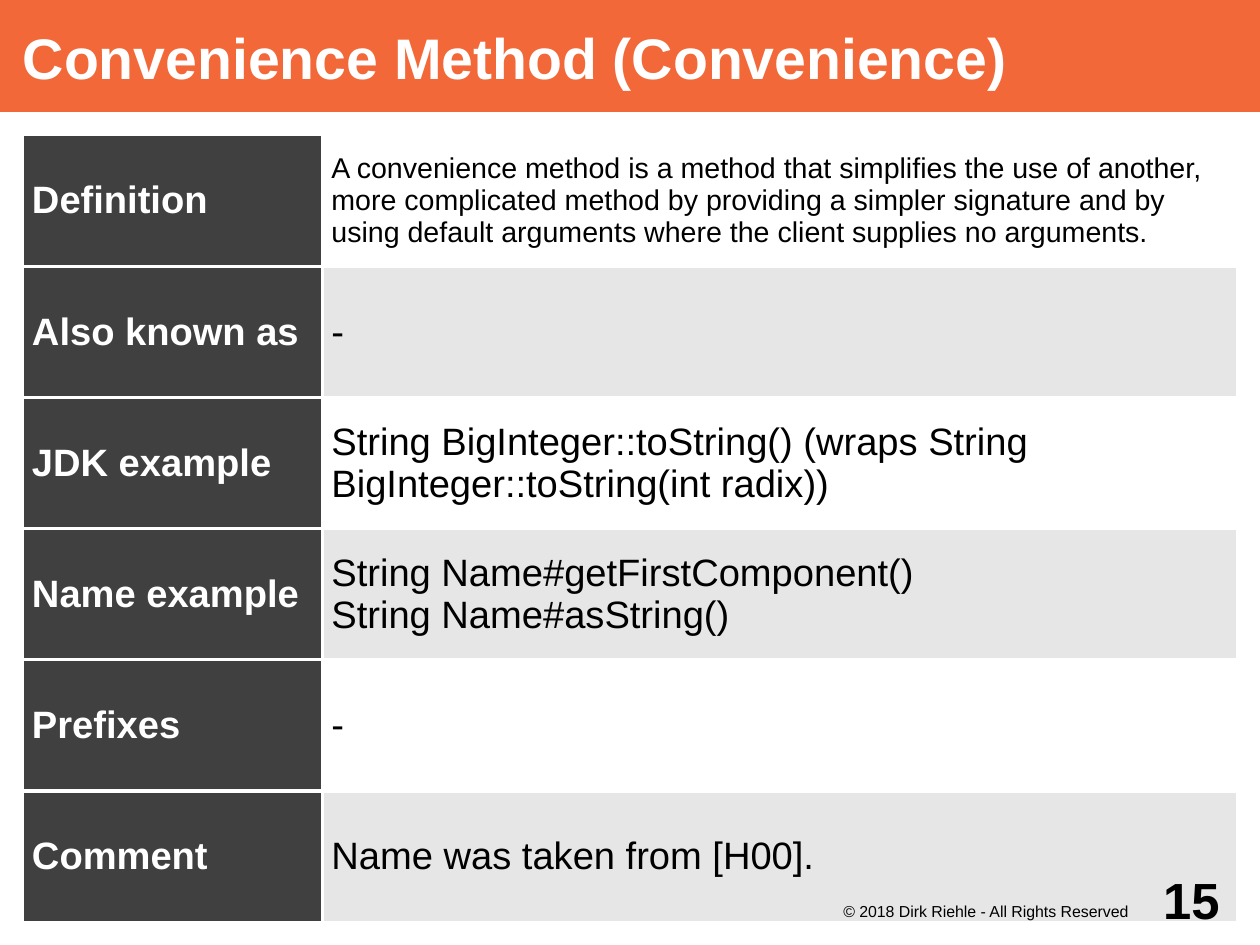
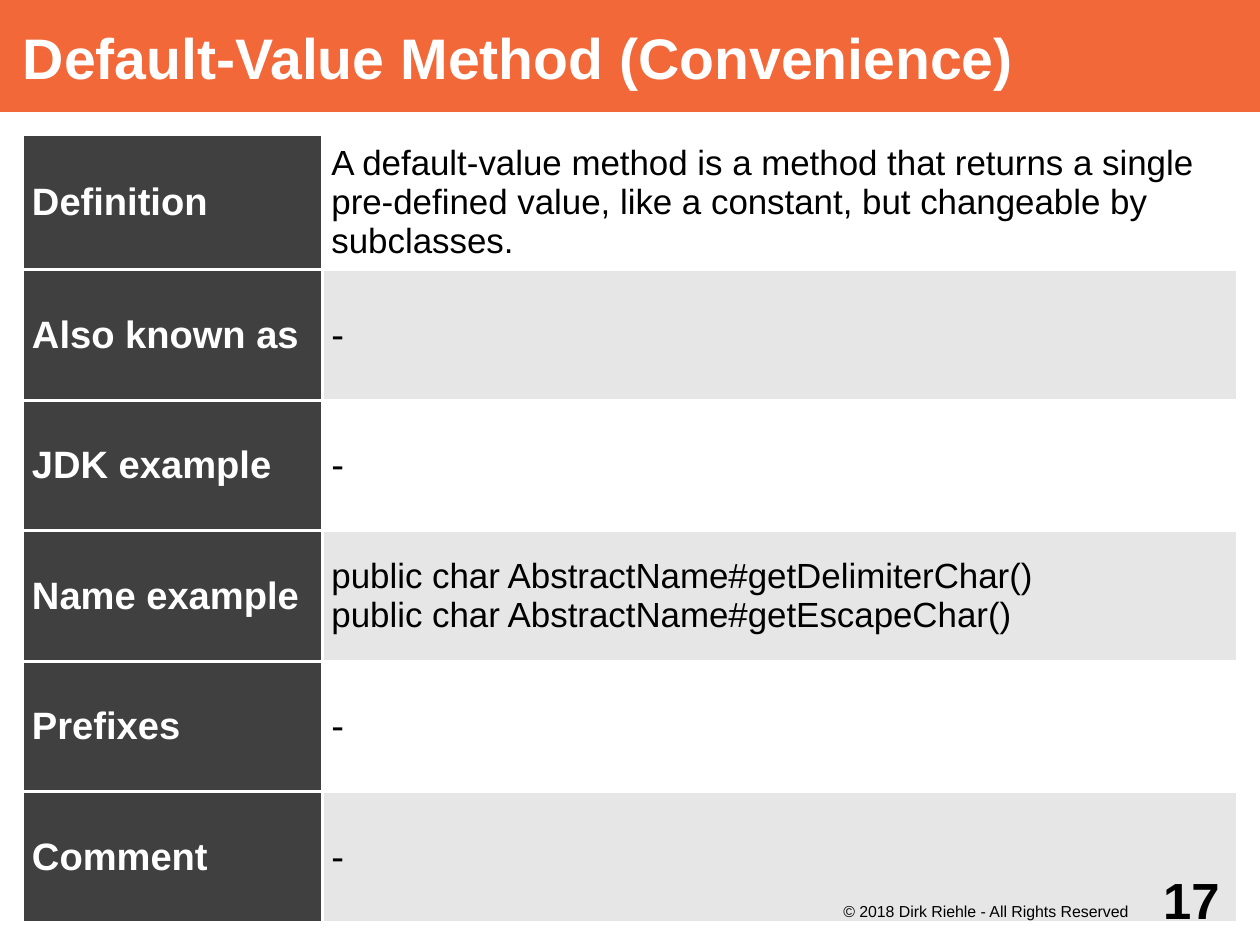
from lxml.etree import SubElement
from pptx import Presentation
from pptx.dml.color import RGBColor
from pptx.enum.shapes import MSO_SHAPE
from pptx.enum.text import MSO_ANCHOR, PP_ALIGN
from pptx.oxml.ns import qn
from pptx.util import Inches, Pt

# A 28 by 21 cm page, in inches
WIDTH, HEIGHT = 28 / 2.54, 21 / 2.54
LABELS = ["Definition", "Also known as", "JDK example",
          "Name example", "Prefixes", "Comment"]


def rgb(value):
    return RGBColor.from_string(value)


def write(tf, text, size=24, color="000000", bold=False, align=PP_ALIGN.LEFT,
          font="Arial"):
    """Fill a text frame, one paragraph per line of text."""
    tf.word_wrap = True
    for i, line in enumerate(text.split("\n")):
        p = tf.add_paragraph() if i else tf.paragraphs[0]
        p.alignment = align
        r = p.add_run()
        r.text = line
        r.font.name, r.font.size, r.font.bold = font, Pt(size), bold
        r.font.color.rgb = rgb(color)


class Deck:
    ORANGE, DARK, LIGHT, WHITE = "F36838", "404040", "E6E6E6", "FFFFFF"
    FOOTER = "© 2018 Dirk Riehle - All Rights Reserved"
    MARGIN, TABLE_TOP, TABLE_HEIGHT = 0.2, 1.18, 6.89
    COLUMNS = (2.62, 8.01)
    BORDER = 2.27

    def __init__(self):
        self.prs = Presentation()
        self.prs.slide_width = Inches(WIDTH)
        self.prs.slide_height = Inches(HEIGHT)
        self.s = None

    def frame(self, sp, insets, anchor):
        tf = sp.text_frame
        (tf.margin_left, tf.margin_top,
         tf.margin_right, tf.margin_bottom) = map(Inches, insets)
        tf.vertical_anchor = anchor
        return tf

    def title(self, text):
        sp = self.s.shapes.add_shape(MSO_SHAPE.RECTANGLE, 0, 0,
                                     Inches(WIDTH), Inches(0.98))
        sp.shadow.inherit = False
        sp.fill.solid()
        sp.fill.fore_color.rgb = rgb(self.ORANGE)
        sp.line.fill.background()
        tf = self.frame(sp, (self.MARGIN, 0.01, 0, 0), MSO_ANCHOR.MIDDLE)
        write(tf, text, size=36, color=self.WHITE, bold=True)

    def text(self, box, text, insets, anchor=MSO_ANCHOR.TOP, **style):
        sp = self.s.shapes.add_textbox(*map(Inches, box))
        write(self.frame(sp, insets, anchor), text, **style)

    def footer(self, number):
        self.text((7.09, 7.87, 3.15, 0.39), self.FOOTER, (0, 0.02, 0.37, 0),
                  size=10, align=PP_ALIGN.RIGHT)
        self.text((10.04, 7.48, 0.98, 0.79), str(number),
                  (0, 0, 0.35, 0.02), MSO_ANCHOR.MIDDLE,
                  size=32, bold=True, align=PP_ALIGN.RIGHT)

    def cell(self, cell, text, fill, **style):
        cell.margin_left = cell.margin_right = Inches(0.08)
        cell.margin_top = cell.margin_bottom = Inches(0.04)
        cell.vertical_anchor = MSO_ANCHOR.MIDDLE
        # Borders come before the fill in the cell properties
        tcPr = cell._tc.get_or_add_tcPr()
        for side in ("lnL", "lnR", "lnT", "lnB"):
            ln = SubElement(tcPr, qn(f"a:{side}"), w=str(int(Pt(self.BORDER))))
            solid = SubElement(ln, qn("a:solidFill"))
            SubElement(solid, qn("a:srgbClr"), val=self.WHITE)
        cell.fill.solid()
        cell.fill.fore_color.rgb = rgb(fill)
        write(cell.text_frame, text, **style)

    def table(self, entries, first_height, sizes):
        """Label and entry per row; sizes maps a label to a smaller text size."""
        table = self.s.shapes.add_table(
            len(LABELS), 2, Inches(self.MARGIN), Inches(self.TABLE_TOP),
            Inches(sum(self.COLUMNS)), Inches(self.TABLE_HEIGHT)).table
        table.first_row = table.horz_banding = False
        for column, width in zip(table.columns, self.COLUMNS):
            column.width = Inches(width)
        other_height = (self.TABLE_HEIGHT - first_height) / (len(LABELS) - 1)
        for i, (label, entry) in enumerate(zip(LABELS, entries)):
            table.rows[i].height = Inches(other_height if i else first_height)
            self.cell(table.cell(i, 0), label, self.DARK,
                      color=self.WHITE, bold=True)
            self.cell(table.cell(i, 1), entry,
                      self.LIGHT if i % 2 else self.WHITE,
                      size=sizes.get(label, 24))

    def pattern(self, title, number, entries, first_height, sizes):
        self.s = self.prs.slides.add_slide(self.prs.slide_layouts[6])
        self.title(title)
        self.table(entries, first_height, sizes)
        self.footer(number)


def main():
    deck = Deck()

    # Convenience method
    deck.pattern("Convenience Method (Convenience)", 15, [
        "A convenience method is a method that simplifies the use of another, "
        "more complicated method by providing a simpler signature and by using "
        "default arguments where the client supplies no arguments.",
        "-",
        "String BigInteger::toString() (wraps String "
        "BigInteger::toString(int radix))",
        "String Name#getFirstComponent()\nString Name#asString()",
        "-",
        "Name was taken from [H00].",
    ], first_height=1.15, sizes={"Definition": 18})

    # Default-value method
    deck.pattern("Default-Value Method (Convenience)", 17, [
        "A default-value method is a method that returns a single pre-defined "
        "value, like a constant, but changeable by subclasses.",
        "-",
        "-",
        "public char AbstractName#getDelimiterChar()\n"
        "public char AbstractName#getEscapeChar()",
        "-",
        "-",
    ], first_height=1.18, sizes={"Definition": 22, "Name example": 22})

    deck.prs.save("out.pptx")


if __name__ == "__main__":
    main()
